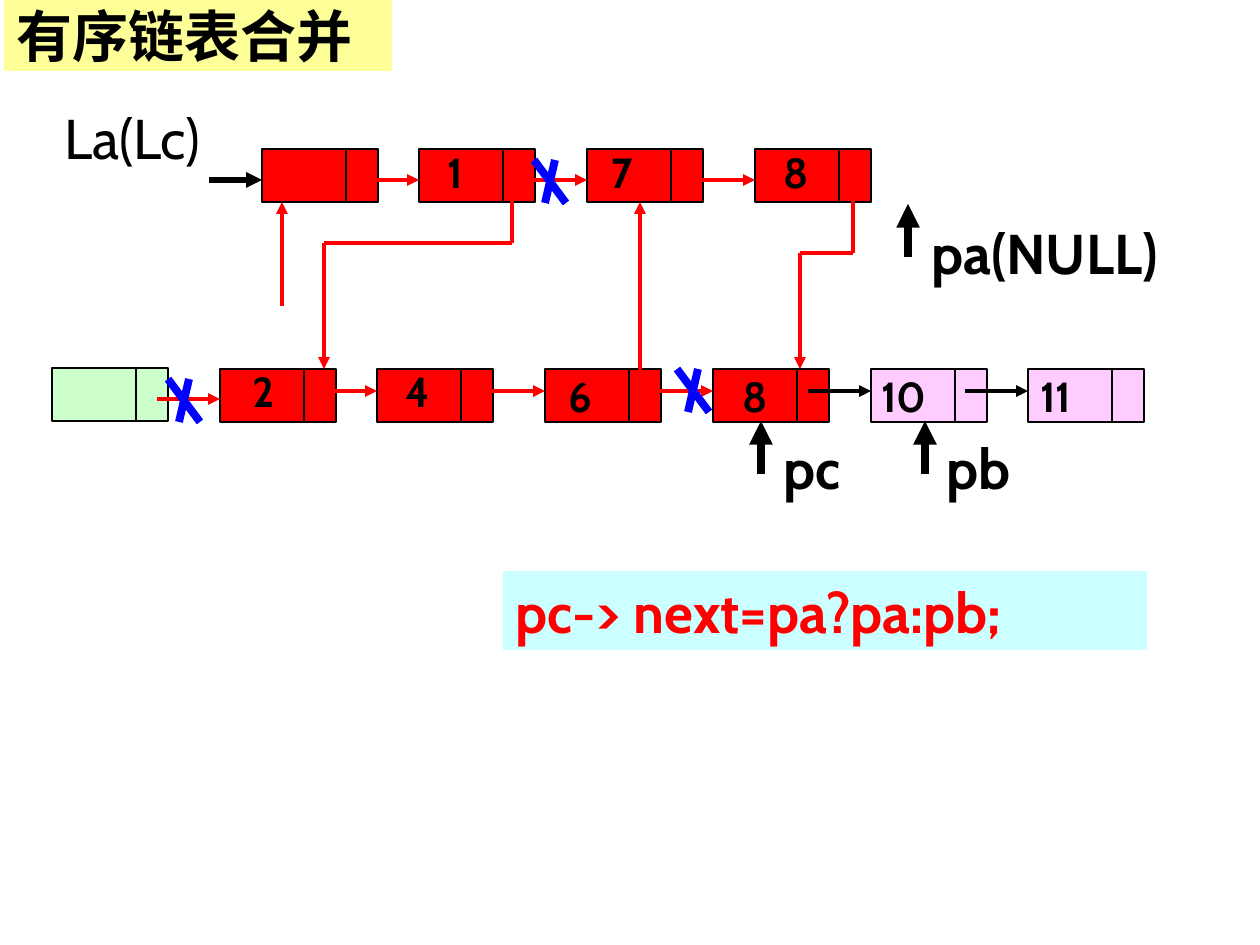
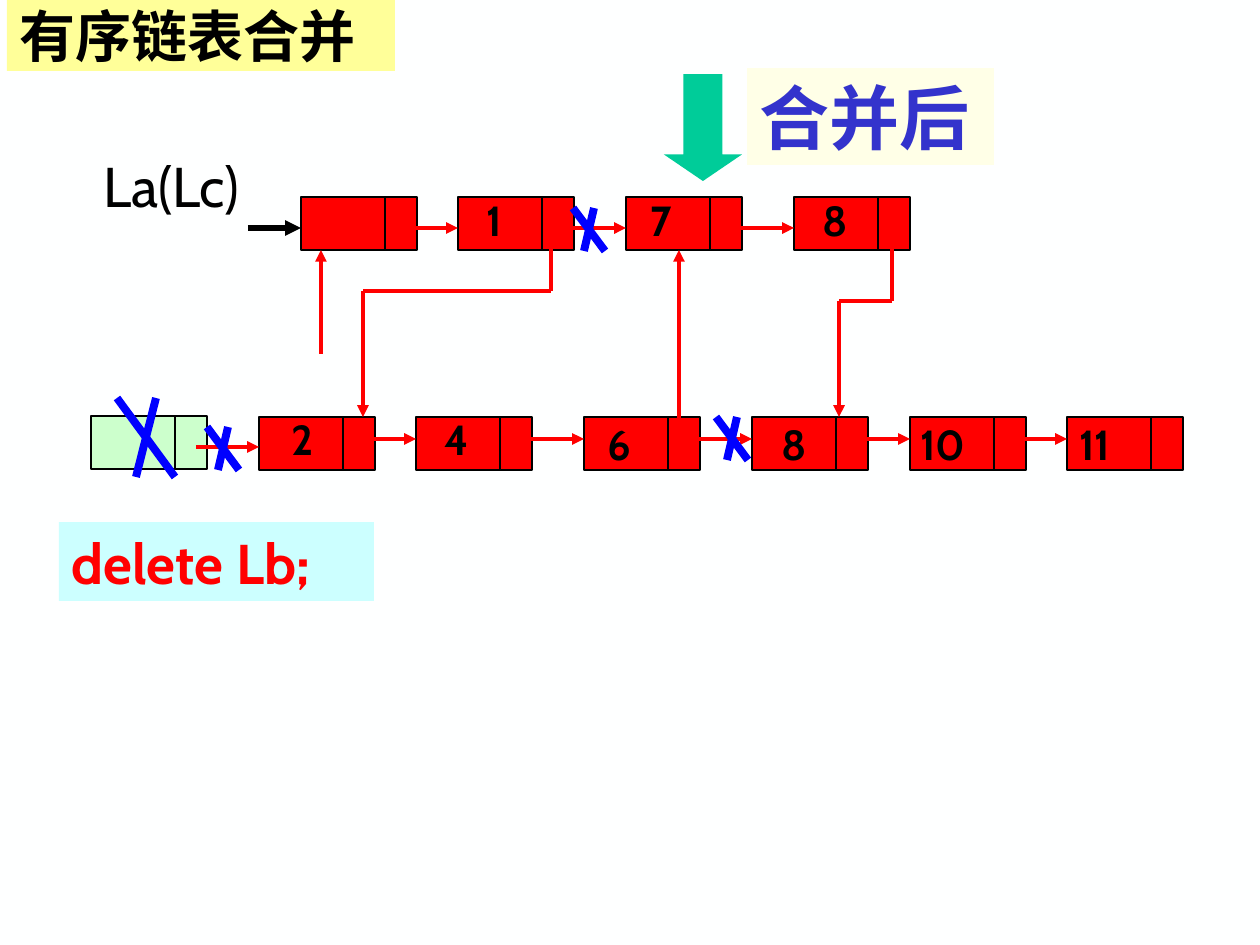
"""Build two slides on merging sorted linked lists."""
from dataclasses import dataclass
from itertools import pairwise

from lxml import etree
from pptx import Presentation
from pptx.dml.color import RGBColor
from pptx.enum.shapes import MSO_CONNECTOR, MSO_SHAPE
from pptx.enum.text import MSO_ANCHOR, MSO_AUTO_SIZE, PP_ALIGN
from pptx.oxml.ns import qn
from pptx.presentation import Presentation as Deck
from pptx.shapes.autoshape import Shape
from pptx.slide import Slide
from pptx.util import Emu, Pt

STRAIGHT = MSO_CONNECTOR.STRAIGHT
RECTANGLE, DOWN_ARROW = MSO_SHAPE.RECTANGLE, MSO_SHAPE.DOWN_ARROW
MIDDLE, LEFT = MSO_ANCHOR.MIDDLE, PP_ALIGN.LEFT
NO_FIT, FIT_SHAPE = MSO_AUTO_SIZE.NONE, MSO_AUTO_SIZE.SHAPE_TO_FIT_TEXT
TITLE_ONLY = 5
EMU_PER_PX = 914400 / 126
DATA_WIDTH, LINK_WIDTH, NODE_HEIGHT = 84, 32, 53
POINTER_LENGTH = 63
MARKER_LENGTH = 53
LINE_HEIGHT = 79
TOP_ROW, BOTTOM_ROW = 149, 369


@dataclass(frozen=True)
class Theme:
    """Colours, fonts, type sizes and line widths of the deck."""

    page: str = "FEFFFF"
    title_band: str = "FFFF99"
    code_band: str = "CCFFFF"
    result_band: str = "FFFFE7"
    ink: str = "000000"
    merged: str = "FF0000"
    waiting: str = "FFCCFF"
    head: str = "CCFFCC"
    cross: str = "0000FF"
    result: str = "3333CC"
    result_arrow: str = "00CC99"
    latin: str = "Cabin"
    chinese: str = "Noto Sans CJK SC"
    serif: str = "Times New Roman"
    result_size: float = 40
    text_size: float = 32
    value_size: float = 24
    border: float = 0.75
    link: float = 2.25
    entry: float = 3
    heavy: float = 4.5


THEME = Theme()


@dataclass(frozen=True)
class Area:
    """A rectangle in px."""

    left: int
    top: int
    width: int
    height: int

    def moved(self, origin: tuple[int, int]) -> "Area":
        """Return the area shifted by the origin."""
        return Area(self.left + origin[0], self.top + origin[1], self.width, self.height)

    def emu(self) -> tuple[Emu, Emu, Emu, Emu]:
        """Return the four lengths in EMU."""
        return px(self.left), px(self.top), px(self.width), px(self.height)


@dataclass(frozen=True)
class TextStyle:
    """The look of one paragraph."""

    size: float = THEME.text_size
    color: str = THEME.ink
    font: str = THEME.latin
    bold: bool = True


@dataclass(frozen=True)
class LineStyle:
    """The look of one stroke."""

    color: str = THEME.merged
    width: float = THEME.link
    arrow: bool = True


@dataclass(frozen=True)
class Node:
    """A list node, with offsets of its value and its incoming pointer."""

    left: int
    top: int
    value: str = ""
    value_x: int = 0
    value_y: int = 0
    pointer_y: int = 0
    fill: str = THEME.merged


@dataclass(frozen=True)
class Marker:
    """A named variable with an upward arrow."""

    name: str
    arrow_x: int
    arrow_bottom: int
    label: Area
    wrap: bool = False


CODE_TEXT = TextStyle(color=THEME.merged)
TITLE_TEXT = TextStyle(font=THEME.chinese)
VALUE_TEXT = TextStyle(size=THEME.value_size)
ENTRY_TEXT = TextStyle(bold=False)
RESULT_TEXT = TextStyle(THEME.result_size, THEME.result, THEME.serif)
LINK_LINE = LineStyle()
ENTRY_LINE = LineStyle(THEME.ink, THEME.entry)
WAITING_LINE = LineStyle(THEME.ink)
MARKER_LINE = LineStyle(THEME.ink, THEME.heavy)
CROSS_LINE = LineStyle(THEME.cross, THEME.heavy, arrow=False)

NODES = (
    Node(262, TOP_ROW),
    Node(419, TOP_ROW, "1", 16, -9, 31),
    Node(587, TOP_ROW, "7", 12, -9, 31),
    Node(755, TOP_ROW, "8", 16, -9, 31),
    Node(52, BOTTOM_ROW - 1, fill=THEME.head),
    Node(220, BOTTOM_ROW, "2", 20, -10, 30),
    Node(377, BOTTOM_ROW, "4", 16, -10, 22),
    Node(545, BOTTOM_ROW, "6", 11, -5, 22),
    Node(713, BOTTOM_ROW, "8", 17, -5, 22),
)
REST = ((871, "10", -2), (1028, "11", 0))
LINK_ROUTES = (
    ((282, 306), (282, 202)),
    ((512, 180), (512, 243), (324, 243), (324, 369)),
    ((640, 391), (640, 202)),
    ((853, 180), (853, 253), (800, 253), (800, 369)),
)
CROSSES = tuple(Area(left, top, 32, 43) for left, top in ((534, 160), (677, 369), (168, 379)))
MARKERS = (
    Marker("pa(NULL)", 908, 257, Area(919, 212, 318, LINE_HEIGHT), wrap=True),
    Marker("pb", 925, 474, Area(934, 427, 96, LINE_HEIGHT)),
    Marker("pc", 761, 474, Area(771, 427, 91, LINE_HEIGHT)),
)


def px(length: int) -> Emu:
    """Convert px to EMU."""
    return Emu(round(length * EMU_PER_PX))


def set_text(box: Shape, text: str, style: TextStyle) -> None:
    """Write one left-aligned paragraph."""
    box.text_frame.text = text
    paragraph = box.text_frame.paragraphs[0]
    paragraph.alignment = LEFT
    font = paragraph.font
    font.name, font.size, font.bold = style.font, Pt(style.size), style.bold
    font.color.rgb = RGBColor.from_string(style.color)
    defaults = paragraph._p.get_or_add_pPr().find(qn("a:defRPr"))
    etree.SubElement(defaults, qn("a:ea"), typeface=THEME.chinese)


def set_fill(box: Shape, color: str) -> None:
    """Fill a shape with one colour."""
    box.fill.solid()
    box.fill.fore_color.rgb = RGBColor.from_string(color)


def add_text(page: Slide, area: Area, text: str, style: TextStyle, wrap: bool = True) -> Shape:
    """Add a text box that grows with its text."""
    box = page.shapes.add_textbox(*area.emu())
    box.text_frame.word_wrap = wrap
    box.text_frame.auto_size = FIT_SHAPE
    set_text(box, text, style)
    return box


def add_band(page: Slide, area: Area, text: str, style: TextStyle, fill: str) -> None:
    """Add a text box on a coloured band."""
    set_fill(add_text(page, area, text, style), fill)


def add_route(page: Slide, points: tuple[tuple[int, int], ...], style: LineStyle,
              origin: tuple[int, int] = (0, 0)) -> None:
    """Draw connected strokes, with any arrowhead on the last one."""
    moved = [(px(x + origin[0]), px(y + origin[1])) for x, y in points]
    for start, end in pairwise(moved):
        stroke = page.shapes.add_connector(STRAIGHT, *start, *end)
        stroke.line.color.rgb = RGBColor.from_string(style.color)
        stroke.line.width = Pt(style.width)
        if style.arrow and end == moved[-1]:
            etree.SubElement(stroke.line._get_or_add_ln(), qn("a:tailEnd"), type="triangle")
        etree.SubElement(stroke._element.spPr, qn("a:effectLst"))


def add_cross(page: Slide, area: Area) -> None:
    """Strike out an area with two strokes."""
    right, bottom = area.left + area.width, area.top + area.height
    third = round(area.width / 3)
    add_route(page, ((right - third, area.top), (area.left + third, bottom)), CROSS_LINE)
    add_route(page, ((area.left, area.top), (right, bottom)), CROSS_LINE)


def add_node(page: Slide, node: Node, origin: tuple[int, int]) -> None:
    """Draw the data and link cells of a node and its value."""
    for left, width in ((node.left, DATA_WIDTH), (node.left + DATA_WIDTH, LINK_WIDTH)):
        area = Area(left, node.top, width, NODE_HEIGHT).moved(origin)
        cell = page.shapes.add_shape(RECTANGLE, *area.emu())
        cell.shadow.inherit = False
        set_fill(cell, node.fill)
        cell.line.color.rgb = RGBColor.from_string(THEME.ink)
        cell.line.width = Pt(THEME.border)
    if node.value:
        width = 26 + 26 * len(node.value)
        label = Area(node.left + node.value_x, node.top + node.value_y, width, 63)
        add_text(page, label.moved(origin), node.value, VALUE_TEXT, wrap=False)


def add_lists(page: Slide, origin: tuple[int, int], rest_fill: str, rest_line: LineStyle) -> None:
    """Draw both lists, their links and the removed links."""
    rest = tuple(Node(left, BOTTOM_ROW, value, shift, -5, 22, rest_fill)
                 for left, value, shift in REST)
    for node in NODES + rest:
        add_node(page, node, origin)
    for node in NODES + rest:
        if node.pointer_y:
            height = node.top + node.pointer_y
            route = ((node.left - POINTER_LENGTH, height), (node.left, height))
            add_route(page, route, rest_line if node in rest else LINK_LINE, origin)
    for route in LINK_ROUTES:
        add_route(page, route, LINK_LINE, origin)
    add_route(page, ((209, 180), (262, 180)), ENTRY_LINE, origin)
    add_text(page, Area(52, 97, 186, LINE_HEIGHT).moved(origin), "La(Lc)", ENTRY_TEXT)
    for area in CROSSES:
        add_cross(page, area.moved(origin))


def add_page(deck: Deck, title_left: int) -> Slide:
    """Add a page with the title band."""
    page = deck.slides.add_slide(deck.slide_layouts[TITLE_ONLY])
    title = page.shapes.title
    title.left, title.top, title.width, title.height = Area(title_left, 0, 388, 71).emu()
    title.text_frame.auto_size = NO_FIT
    title.text_frame.vertical_anchor = MIDDLE
    set_fill(title, THEME.title_band)
    set_text(title, "有序链表合并", TITLE_TEXT)
    return page


def add_linking_page(deck: Deck) -> None:
    """Show the step that links the remaining nodes."""
    page = add_page(deck, 4)
    add_lists(page, (0, 0), THEME.waiting, WAITING_LINE)
    code_area = Area(503, 571, 644, LINE_HEIGHT)
    add_band(page, code_area, "pc-> next=pa?pa:pb;", CODE_TEXT, THEME.code_band)
    for marker in MARKERS:
        tip = marker.arrow_bottom - MARKER_LENGTH
        route = ((marker.arrow_x, marker.arrow_bottom), (marker.arrow_x, tip))
        add_route(page, route, MARKER_LINE)
        add_text(page, marker.label, marker.name, TextStyle(), marker.wrap)


def add_merged_page(deck: Deck) -> None:
    """Show the merged list and the deleted head."""
    page = add_page(deck, 7)
    add_lists(page, (39, 48), THEME.merged, LINK_LINE)
    arrow = page.shapes.add_shape(DOWN_ARROW, *Area(664, 74, 78, 107).emu())
    arrow.adjustments[1] = 0.34
    arrow.shadow.inherit = False
    set_fill(arrow, THEME.result_arrow)
    arrow.line.fill.background()
    add_band(page, Area(747, 68, 247, 97), "合并后", RESULT_TEXT, THEME.result_band)
    add_band(page, Area(59, 522, 315, LINE_HEIGHT), "delete Lb;", CODE_TEXT, THEME.code_band)
    add_cross(page, Area(117, 398, 58, 79))


def main() -> None:
    """Build and save the deck."""
    deck = Presentation()
    deck.slide_width, deck.slide_height = px(1260), px(945)
    background = deck.slide_master.background.fill
    background.solid()
    background.fore_color.rgb = RGBColor.from_string(THEME.page)
    add_linking_page(deck)
    add_merged_page(deck)
    deck.save("out.pptx")


if __name__ == "__main__":
    main()
